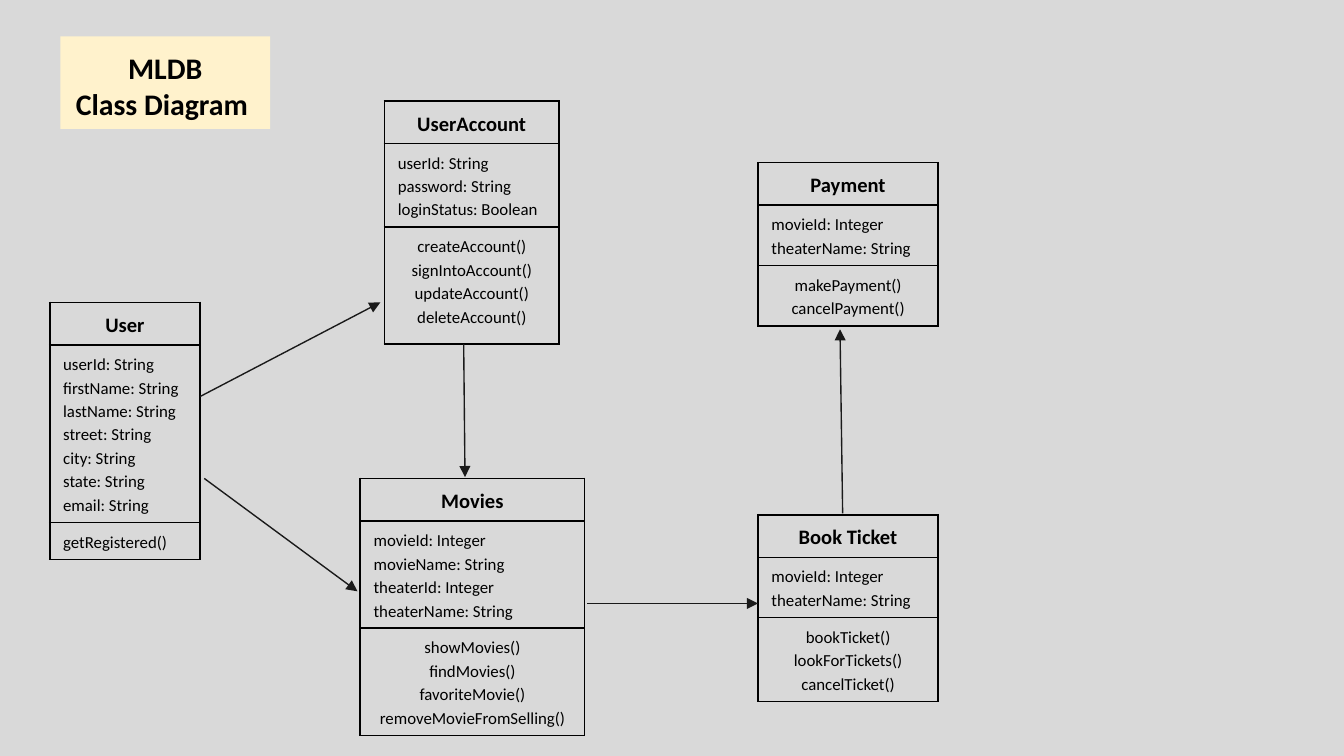
import pptx
import pptx.dml.color
import pptx.enum.shapes
import pptx.enum.text
import pptx.oxml
import pptx.oxml.ns
import pptx.util

Inches = pptx.util.Inches
Pt = pptx.util.Pt
ALIGN = pptx.enum.text.PP_ALIGN
NS = pptx.oxml.ns.nsdecls("a")
HEADER_FONT = {"name": "Calibri", "size": Pt(11), "bold": True}
MEMBER_FONT = {"name": "Calibri", "size": Pt(9), "bold": False}
TITLE_FONT = {"name": "Calibri", "size": Pt(16), "bold": True}

CLASSES = [
    (2.86, 0.75, 1.3, (0.3, 0.46, 0.87), "UserAccount",
     ["userId: String", "password: String", "loginStatus: Boolean"],
     ["createAccount()", "signIntoAccount()", "updateAccount()", "deleteAccount()"],
     ALIGN.CENTER),
    (2.68, 3.56, 1.67, (0.26, 0.66, 0.41), "Movies",
     ["movieId: Integer", "movieName: String", "theaterId: Integer", "theaterName: String"],
     ["showMovies()", "findMovies()", "favoriteMovie()", "removeMovieFromSelling()"],
     ALIGN.CENTER),
    (0.37, 2.25, 1.12, (0.16, 0.65, 0.25), "User",
     ["userId: String", "firstName: String", "lastName: String", "street: String",
      "city: String", "state: String", "email: String"],
     ["getRegistered()"], ALIGN.LEFT),
    (5.64, 3.83, 1.34, (0.26, 0.43, 0.41), "Book Ticket",
     ["movieId: Integer", "theaterName: String"],
     ["bookTicket()", "lookForTickets()", "cancelTicket()"], ALIGN.CENTER),
    (5.64, 1.21, 1.34, (0.26, 0.43, 0.41), "Payment",
     ["movieId: Integer", "theaterName: String"],
     ["makePayment()", "cancelPayment()"], ALIGN.CENTER),
]
ARROWS = [
    (3.45, 2.56, 3.46, 3.55),
    (1.49, 2.95, 2.83, 2.25),
    (1.52, 3.56, 2.66, 4.4),
    (4.37, 4.49, 5.64, 4.49),
    (6.27, 3.82, 6.25, 2.45),
]


def rgb(color):
    return pptx.dml.color.RGBColor.from_string(color)


def set_attrs(obj, values):
    for name, value in values.items():
        setattr(obj, name, value)


def write_lines(tf, lines, font, align, spacing):
    for i, line in enumerate(lines):
        p = tf.paragraphs[0] if i == 0 else tf.add_paragraph()
        set_attrs(p, {"alignment": align, "line_spacing": spacing,
                      "space_before": Pt(0), "space_after": Pt(0)})
        r = p.add_run()
        r.text = line
        set_attrs(r.font, font)
        r.font.color.rgb = rgb("000000")


def add_borders(cell, color, width):
    tcPr = cell._tc.get_or_add_tcPr()
    for i, side in enumerate("LRTB"):
        tcPr.insert(i, pptx.oxml.parse_xml(
            f'<a:ln{side} {NS} w="{Pt(width)}"><a:solidFill>'
            f'<a:srgbClr val="{color}"/></a:solidFill></a:ln{side}>'))


def add_title(s, left, top, width, height):
    sp = s.shapes.title
    set_attrs(sp, {"left": Inches(left), "top": Inches(top),
                   "width": Inches(width), "height": Inches(height)})
    sp.fill.solid()
    sp.fill.fore_color.rgb = rgb("FFF2CC")
    tf = sp.text_frame
    set_attrs(tf, {"word_wrap": True,
                   "auto_size": pptx.enum.text.MSO_AUTO_SIZE.NONE,
                   "vertical_anchor": pptx.enum.text.MSO_ANCHOR.TOP})
    for side in ("left", "top", "right", "bottom"):
        setattr(tf, f"margin_{side}", Inches(0.1))
    write_lines(tf, ["MLDB", "Class Diagram "], TITLE_FONT, ALIGN.CENTER, 1.0)


def add_class(s, left, top, width, heights, name, fields, methods, method_align):
    table = s.shapes.add_table(3, 1, Inches(left), Inches(top),
                               Inches(width), Inches(sum(heights))).table
    set_attrs(table, {"first_row": False, "horz_banding": False})
    sections = [([name], HEADER_FONT, ALIGN.CENTER),
                (fields, MEMBER_FONT, ALIGN.LEFT),
                (methods, MEMBER_FONT, method_align)]
    for i, (lines, font, align) in enumerate(sections):
        table.rows[i].height = Inches(heights[i])
        cell = table.cell(i, 0)
        set_attrs(cell, {"margin_left": Inches(0.1), "margin_right": Inches(0.1),
                         "margin_top": Inches(0.05), "margin_bottom": Inches(0.05)})
        cell.fill.background()
        add_borders(cell, "000000", 1)
        write_lines(cell.text_frame, lines, font, align, 1.15)


def add_arrow(s, x1, y1, x2, y2):
    line = s.shapes.add_connector(pptx.enum.shapes.MSO_CONNECTOR.STRAIGHT,
                                  Inches(x1), Inches(y1), Inches(x2), Inches(y2))
    line.line.color.rgb = rgb("1A1A1A")
    line.line.width = Pt(0.75)
    line.line._get_or_add_ln().append(
        pptx.oxml.parse_xml(f'<a:tailEnd {NS} type="triangle" w="med" len="med"/>'))
    line._element.spPr.append(pptx.oxml.parse_xml(f"<a:effectLst {NS}/>"))


def main():
    prs = pptx.Presentation()
    prs.slide_width = Inches(10)
    prs.slide_height = prs.slide_width * 9 // 16
    s = prs.slides.add_slide(prs.slide_layouts[5])
    s.background.fill.solid()
    s.background.fill.fore_color.rgb = rgb("D9D9D9")
    add_title(s, 0.45, 0.27, 1.56, 0.69)
    for item in CLASSES:
        add_class(s, *item)
    for ends in ARROWS:
        add_arrow(s, *ends)
    prs.save("out.pptx")


if __name__ == "__main__":
    main()
